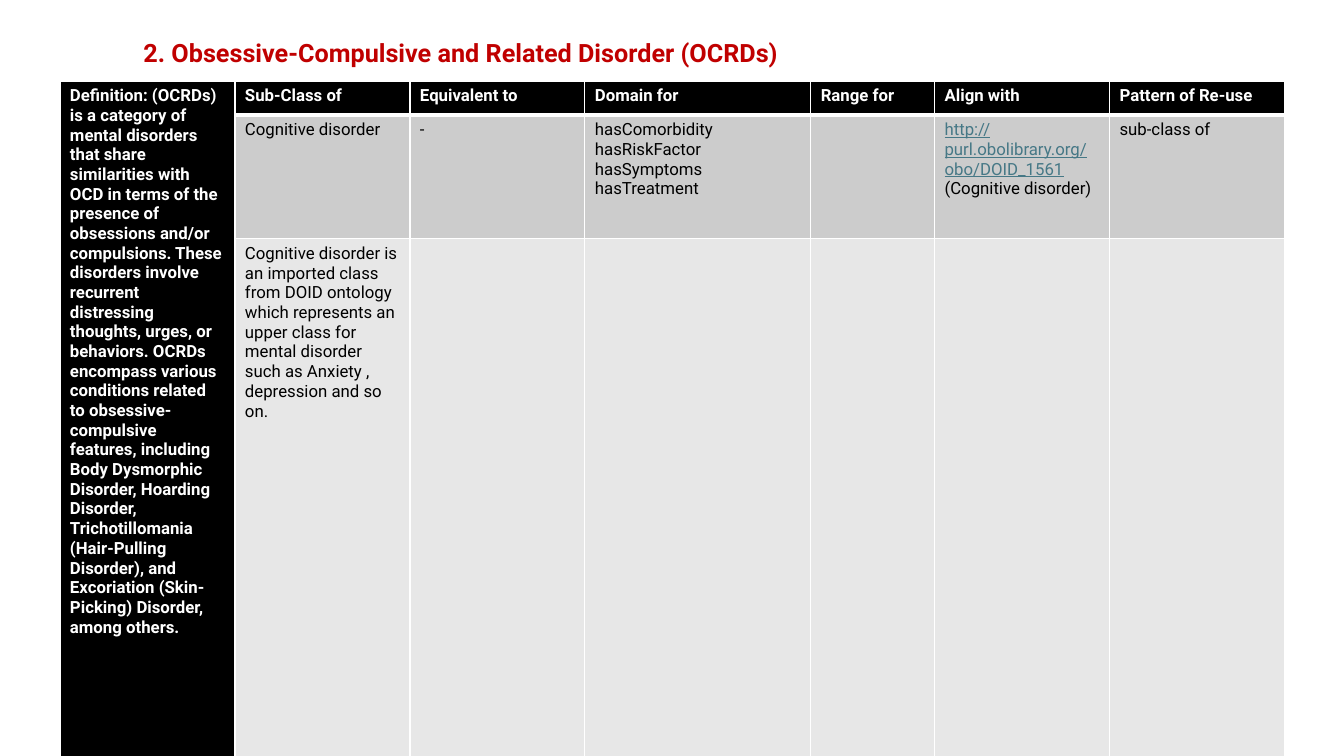
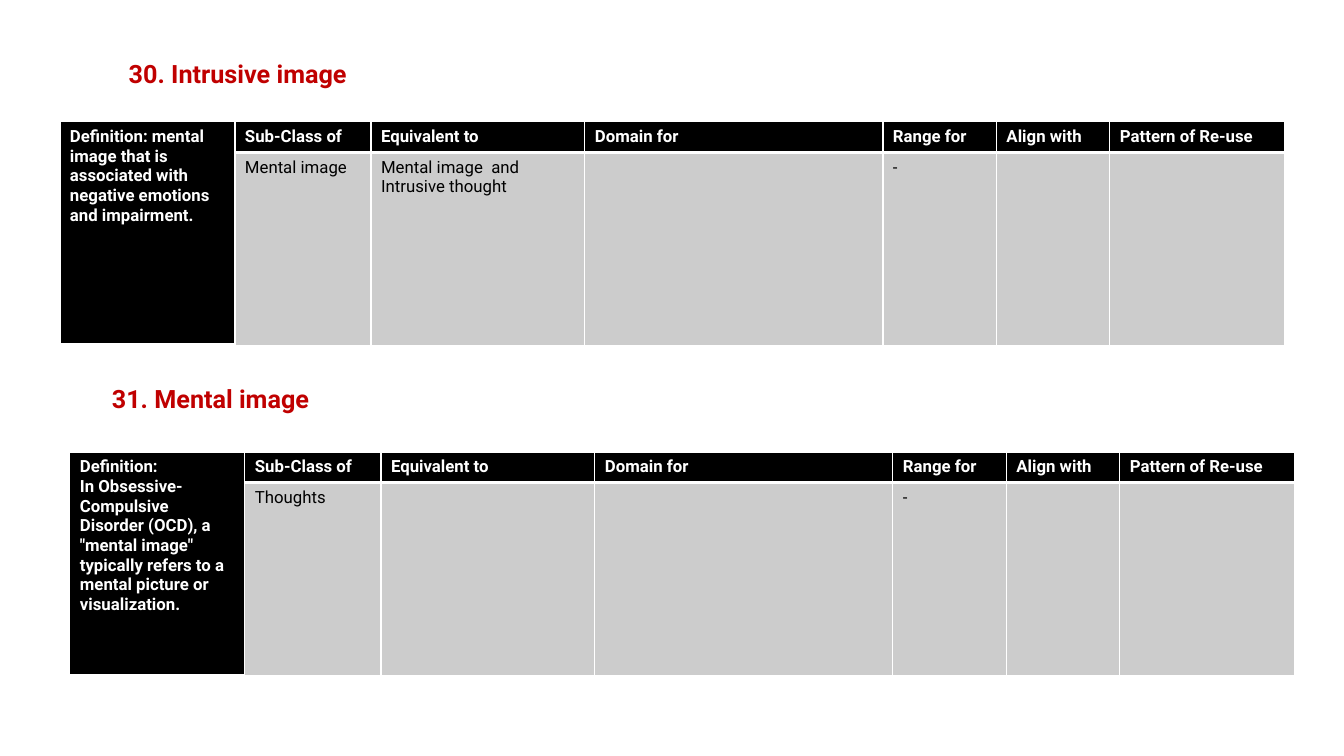
import dataclasses

import lxml.etree
import pptx
import pptx.dml.color
import pptx.enum.text
import pptx.oxml.ns
import pptx.util

Cm = pptx.util.Cm
Pt = pptx.util.Pt
RGB = pptx.dml.color.RGBColor.from_string


@dataclasses.dataclass(frozen=True)
class Theme:
    font: str = "Roboto"
    head_size: int = 18
    cell_size: int = 12
    red: str = "C00000"
    black: str = "000000"
    white: str = "FFFFFF"
    link: str = "467886"
    bands: tuple = ("CCCCCC", "E7E7E7")
    thin: int = 1
    thick: int = 3


@dataclasses.dataclass(frozen=True)
class Link:
    text: str
    tail: str


THEME = Theme()
HEADS = ["Sub-Class of", "Equivalent to", "Domain for", "Range for",
         "Align with", "Pattern of Re-use"]
WIDE_COLS = [4.41, 4.41, 4.41, 5.69, 3.12, 4.41, 4.41]
SHORT_COLS = [4.41, 3.43, 5.39, 7.51, 2.86, 2.86, 4.41]
SHORT_ROWS = [0.77, 4.86]


def style(par, size, color, bold):
    font = par.font
    font.name = THEME.font
    font.size = Pt(size)
    font.bold = bold
    font.color.rgb = RGB(color)


def write_head(shape, text):
    frame = shape.text_frame
    frame.text = text
    frame.word_wrap = False
    frame.auto_size = pptx.enum.text.MSO_AUTO_SIZE.SHAPE_TO_FIT_TEXT
    frame.vertical_anchor = pptx.enum.text.MSO_ANCHOR.TOP
    par = frame.paragraphs[0]
    par.alignment = pptx.enum.text.PP_ALIGN.LEFT
    style(par, THEME.head_size, THEME.red, True)


def add_title(slide, text, left, top, width):
    shape = slide.shapes.title
    shape.left, shape.top = Cm(left), Cm(top)
    shape.width, shape.height = Cm(width), Cm(1.02)
    write_head(shape, text)


def add_label(slide, text, left, top, width):
    box = slide.shapes.add_textbox(Cm(left), Cm(top), Cm(width), Cm(1.02))
    write_head(box, text)


def set_edges(cell, base):
    props = cell._tc.get_or_add_tcPr()
    qn = pptx.oxml.ns.qn
    for side in "LRTB":
        width = base if side == "B" else THEME.thin
        line = lxml.etree.SubElement(props, qn(f"a:ln{side}"), w=str(Pt(width)))
        fill = lxml.etree.SubElement(line, qn("a:solidFill"))
        lxml.etree.SubElement(fill, qn("a:srgbClr"), val=THEME.white)


def fill_cell(cell, text, fill, color, bold, base):
    set_edges(cell, base)
    cell.fill.solid()
    cell.fill.fore_color.rgb = RGB(fill)
    frame = cell.text_frame
    if isinstance(text, Link):
        par = frame.paragraphs[0]
        run = par.add_run()
        run.text = text.text
        run.font.underline = True
        run.font.color.rgb = RGB(THEME.link)
        par.add_run().text = text.tail
    else:
        frame.text = text
    for par in frame.paragraphs:
        style(par, THEME.cell_size, color, bold)


def add_grid(slide, left, top, cols, rows, about, body):
    frame = slide.shapes.add_table(len(rows), len(cols), Cm(left), Cm(top),
                                   Cm(sum(cols)), Cm(sum(rows)))
    table = frame.table
    table.first_row = table.horz_banding = False
    for col, width in zip(table.columns, cols):
        col.width = Cm(width)
    for row, height in zip(table.rows, rows):
        row.height = Cm(height)
    table.cell(0, 0).merge(table.cell(len(rows) - 1, 0))
    for index, text in enumerate([about] + HEADS):
        fill_cell(table.cell(0, index), text, THEME.black, THEME.white,
                  True, THEME.thick)
    for index, (texts, band) in enumerate(zip(body, THEME.bands), 1):
        for place, text in enumerate(texts, 1):
            fill_cell(table.cell(index, place), text, band, THEME.black,
                      False, THEME.thin)


def build_class(slide):
    add_title(slide, "2. Obsessive-Compulsive and Related Disorder (OCRDs)",
              3.36, 0.81, 16.95)
    about = (
        "Definition: (OCRDs) is a category of mental disorders that share "
        "similarities with OCD in terms of the presence of obsessions and/or "
        "compulsions. These disorders involve recurrent distressing thoughts, "
        "urges, or behaviors. OCRDs encompass various conditions related to "
        "obsessive-compulsive features, including Body Dysmorphic Disorder, "
        "Hoarding Disorder, Trichotillomania (Hair-Pulling Disorder), and "
        "Excoriation (Skin-Picking) Disorder, among others.")
    note = (
        "Cognitive disorder is an imported class from DOID ontology which "
        "represents an upper class for mental disorder such as Anxiety , "
        "depression and so on.")
    link = Link("http://purl.obolibrary.org/obo/DOID_1561",
                " (Cognitive disorder)")
    traits = "hasComorbidity\nhasRiskFactor\nhasSymptoms\nhasTreatment"
    add_grid(slide, 1.51, 2.04, WIDE_COLS, [0.86, 3.12, 12.22], about, [
        ["Cognitive disorder", "-", traits, "", link, "sub-class of"],
        [note, "", "", "", "", ""],
    ])


def build_pair(slide):
    add_title(slide, "30. Intrusive image", 2.99, 1.35, 6.13)
    add_grid(slide, 1.51, 3.07, SHORT_COLS, SHORT_ROWS,
             "Definition: mental image that is associated with negative "
             "emotions and impairment.",
             [["Mental image", "Mental image  and Intrusive thought",
               "", "-", "", ""]])
    add_label(slide, "31. Mental image", 2.57, 9.53, 5.55)
    add_grid(slide, 1.76, 11.39, SHORT_COLS, SHORT_ROWS,
             "Definition:\nIn Obsessive-Compulsive Disorder (OCD), a "
             "\"mental image\" typically refers to a mental picture or "
             "visualization.",
             [["Thoughts", "", "", "-", "", ""]])


def main():
    deck = pptx.Presentation()
    deck.slide_width, deck.slide_height = Cm(33.87), Cm(19.05)
    for build in (build_class, build_pair):
        build(deck.slides.add_slide(deck.slide_layouts[5]))
    deck.save("out.pptx")


if __name__ == "__main__":
    main()
